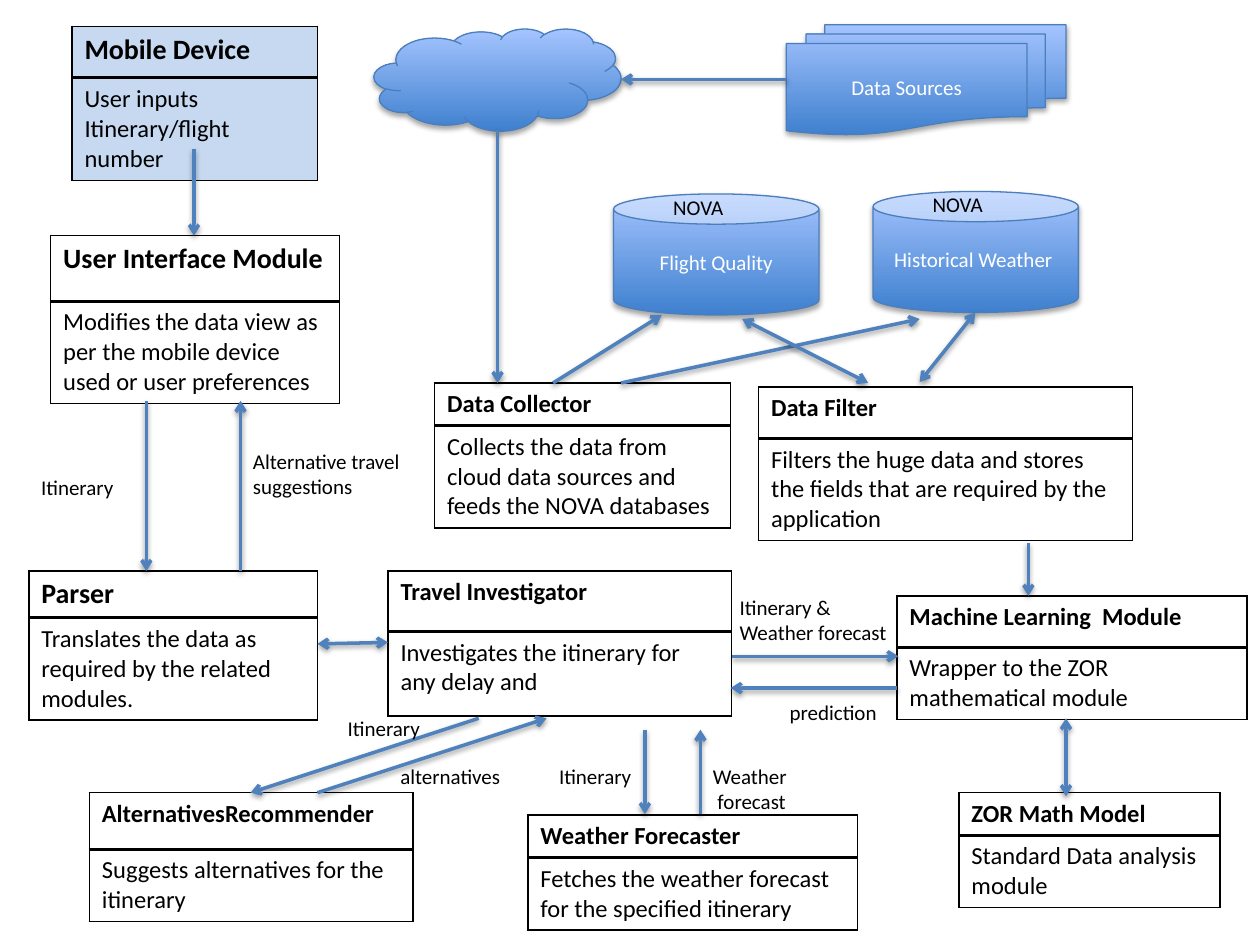
from lxml import etree
from pptx import Presentation
from pptx.dml.color import RGBColor
from pptx.enum.shapes import MSO_CONNECTOR, MSO_SHAPE
from pptx.enum.text import MSO_ANCHOR, MSO_AUTO_SIZE, PP_ALIGN
from pptx.oxml.ns import qn
from pptx.util import Cm, Pt

CAN, CLOUD = MSO_SHAPE.CAN, MSO_SHAPE.CLOUD
DOCS = MSO_SHAPE.FLOWCHART_MULTIDOCUMENT
LINE = MSO_CONNECTOR.STRAIGHT
LEFT, CENTER = PP_ALIGN.LEFT, PP_ALIGN.CENTER
MIDDLE, GROW = MSO_ANCHOR.MIDDLE, MSO_AUTO_SIZE.SHAPE_TO_FIT_TEXT
FONT = "Calibri"
COLORS = {"ink": "000000", "white": "FFFFFF", "pale": "C6D9F1", "deep": "3F80CE",
          "light": "A4C4FF", "edge": "4B7EBC", "arrow": "4F81BD"}

# left, top, width, head height, body height, head size, title, body, fill
CARDS = [
    (1.45, 0.53, 4.95, 1.04, 2.07, 16, "Mobile Device",
     "User inputs Itinerary/flight number", "pale"),
    (1.02, 4.75, 5.82, 1.32, 2.06, 16, "User Interface Module",
     "Modifies the data view as per the mobile device used or user preferences", None),
    (0.58, 11.51, 5.82, 0.94, 2.05, 16, "Parser",
     "Translates the data as required by the related modules.", None),
    (19.33, 15.98, 5.26, 0.86, 1.43, 14, "ZOR Math Model",
     "Standard Data analysis module", None),
    (18.08, 12.01, 7.06, 1.04, 1.43, 14, "Machine Learning  Module",
     "Wrapper to the ZOR mathematical module", None),
    (7.82, 11.51, 6.93, 1.22, 1.7, 14, "Travel Investigator",
     "Investigates the itinerary for any delay and", None),
    (15.29, 7.8, 7.54, 1.04, 2.04, 14, "Data Filter",
     "Filters the huge data and stores the fields that are required by the application", None),
    (8.76, 7.72, 5.97, 0.86, 2.06, 14, "Data Collector",
     "Collects the data from cloud data sources and feeds the NOVA databases", None),
    (10.64, 16.43, 6.65, 0.86, 1.43, 14, "Weather Forecaster",
     "Fetches the weather forecast for the specified itinerary", None),
    (1.8, 15.98, 6.53, 1.14, 1.43, 14, "AlternativesRecommender",
     "Suggests alternatives for the itinerary", None),
]
ONE_WAY = [
    (3.91, 3, 3.91, 4.75), (2.95, 8.08, 2.95, 11.51), (4.85, 11.51, 4.85, 8.08),
    (18.08, 13.87, 14.73, 13.87), (14.76, 13.23, 18.11, 13.23),
    (15.85, 1.6, 12.52, 1.6), (10.03, 2.62, 10.03, 7.72),
    (11.15, 7.72, 13.34, 6.35), (12.52, 7.72, 18.54, 6.43),
    (20.73, 10.95, 20.73, 12.01), (13, 14.71, 13, 16.41),
    (14.12, 16.41, 14.12, 14.71), (9.65, 14.48, 5.05, 15.98),
    (6.4, 15.98, 11.02, 14.48),
]
TWO_WAY = [
    (21.49, 16.05, 21.49, 14.48), (6.4, 12.98, 7.82, 12.95),
    (14.96, 6.43, 17.5, 7.72), (19.66, 6.3, 18.54, 7.7),
]
# box, lines, wrap
LABELS = [
    ((6.76, 14.3, 2.01, 0.76), ["Itinerary"], False),
    ((4.85, 8.92, 3.48, 1.8), ["Alternative travel suggestions"], True),
    ((0.58, 9.45, 2.01, 0.76), ["Itinerary"], False),
    ((14.66, 11.86, 3.56, 1.27), ["Itinerary & ", "Weather forecast"], False),
    ((15.67, 13.97, 2.29, 0.76), ["prediction"], False),
    ((11.02, 15.27, 2.01, 0.76), ["Itinerary"], False),
    ((14.12, 15.27, 2.06, 1.27), ["Weather", " forecast"], False),
    ((7.82, 15.27, 2.59, 0.76), ["alternatives"], False),
]


def rgb(name):
    """Look up a colour by name."""
    return RGBColor.from_string(COLORS[name])


def place(box):
    """Turn a box in centimetres into lengths."""
    return [Cm(v) for v in box]


def write(frame, lines, size=12, color="ink", bold=False, align=LEFT):
    """Write lines of text as paragraphs of a frame."""
    for i, line in enumerate(lines):
        para = frame.add_paragraph() if i else frame.paragraphs[0]
        para.alignment = align
        run = para.add_run()
        run.text = line
        font = run.font
        font.name, font.size, font.bold = FONT, Pt(size), bold
        font.color.rgb = rgb(color)


def shade(props, alpha, blur, dist):
    """Give shape properties a soft shadow below."""
    old = props.find(qn("a:effectLst"))
    if old is not None:
        props.remove(old)
    list_ = etree.SubElement(props, qn("a:effectLst"))
    cast = etree.SubElement(list_, qn("a:outerShdw"), blurRad=str(Pt(blur)),
                            dist=str(Pt(dist)), dir="5400000", rotWithShape="0")
    tone = etree.SubElement(cast, qn("a:srgbClr"), val=COLORS["ink"])
    etree.SubElement(tone, qn("a:alpha"), val=str(alpha * 1000))


def border(cell, widths):
    """Draw the cell borders, widths in points by side."""
    props = cell._tc.get_or_add_tcPr()
    for i, side in enumerate("LRTB"):
        line = etree.Element(qn("a:ln" + side), w=str(Pt(widths[side])))
        fill = etree.SubElement(line, qn("a:solidFill"))
        etree.SubElement(fill, qn("a:srgbClr"), val=COLORS["ink"])
        props.insert(i, line)


def card(slide, left, top, width, head, body, size, title, text, fill):
    """Add a module table with a title row and a text row."""
    box = place((left, top, width, head + body))
    table = slide.shapes.add_table(2, 1, *box).table
    table.first_row = table.horz_banding = False
    rows = [(head, title, size, True, "B"), (body, text, 14, False, "T")]
    for i, (height, words, points, bold, thick) in enumerate(rows):
        table.rows[i].height = Cm(height)
        cell = table.cell(i, 0)
        if fill:
            cell.fill.solid()
            cell.fill.fore_color.rgb = rgb(fill)
        else:
            cell.fill.background()
        border(cell, {side: 2 if side == thick else 1 for side in "LRTB"})
        write(cell.text_frame, [words], size=points, bold=bold)


def solid(shapes, kind, box, text=None):
    """Add a blue gradient shape with centred text."""
    shape = shapes.add_shape(kind, *place(box))
    shape.fill.gradient()
    shape.fill.gradient_angle = 90
    for stop, name, spot in zip(shape.fill.gradient_stops, ("deep", "light"), (0, 1)):
        stop.color.rgb, stop.position = rgb(name), spot
    shape.line.color.rgb, shape.line.width = rgb("edge"), Pt(0.75)
    shape.shadow.inherit = False
    shade(shape._element.spPr, 35, 3.1, 1.8)
    if text:
        shape.text_frame.word_wrap = True
        shape.text_frame.vertical_anchor = MIDDLE
        write(shape.text_frame, [text], color="white", align=CENTER)


def label(shapes, box, lines, wrap):
    """Add a plain text label."""
    frame = shapes.add_textbox(*place(box)).text_frame
    frame.word_wrap, frame.auto_size = wrap, GROW
    write(frame, lines)


def store(slide, left, top, text):
    """Add a database can with its engine name on the lid."""
    shapes = slide.shapes.add_group_shape().shapes
    solid(shapes, CAN, (left, top, 4.14, 2.44), text)
    label(shapes, (left + 0.95, top - 0.12, 3.1, 0.76), ["NOVA"], True)


def arrow(slide, ends, both=False):
    """Add an arrow between two points."""
    link = slide.shapes.add_connector(LINE, *place(ends))
    link.line.color.rgb, link.line.width = rgb("arrow"), Pt(2)
    line = link.line._get_or_add_ln()
    for tag in ("a:headEnd", "a:tailEnd") if both else ("a:tailEnd",):
        etree.SubElement(line, qn(tag), type="arrow")
    shade(link._element.spPr, 38, 3.1, 1.6)


def build():
    """Build the system diagram and save it."""
    deck = Presentation()
    deck.slide_width, deck.slide_height = Cm(25.4), Cm(19.05)
    slide = deck.slides.add_slide(deck.slide_layouts[6])
    for item in CARDS:
        card(slide, *item)
    store(slide, 12.37, 3.91, "Flight Quality")
    store(slide, 17.6, 3.86, "Historical Weather ")
    solid(slide.shapes, DOCS, (15.85, 0.5, 5.64, 2.22), "Data Sources")
    solid(slide.shapes, CLOUD, (7.54, 0.58, 4.98, 2.06))
    for ends in ONE_WAY:
        arrow(slide, ends)
    for ends in TWO_WAY:
        arrow(slide, ends, both=True)
    for item in LABELS:
        label(slide.shapes, *item)
    deck.save("out.pptx")


build()
